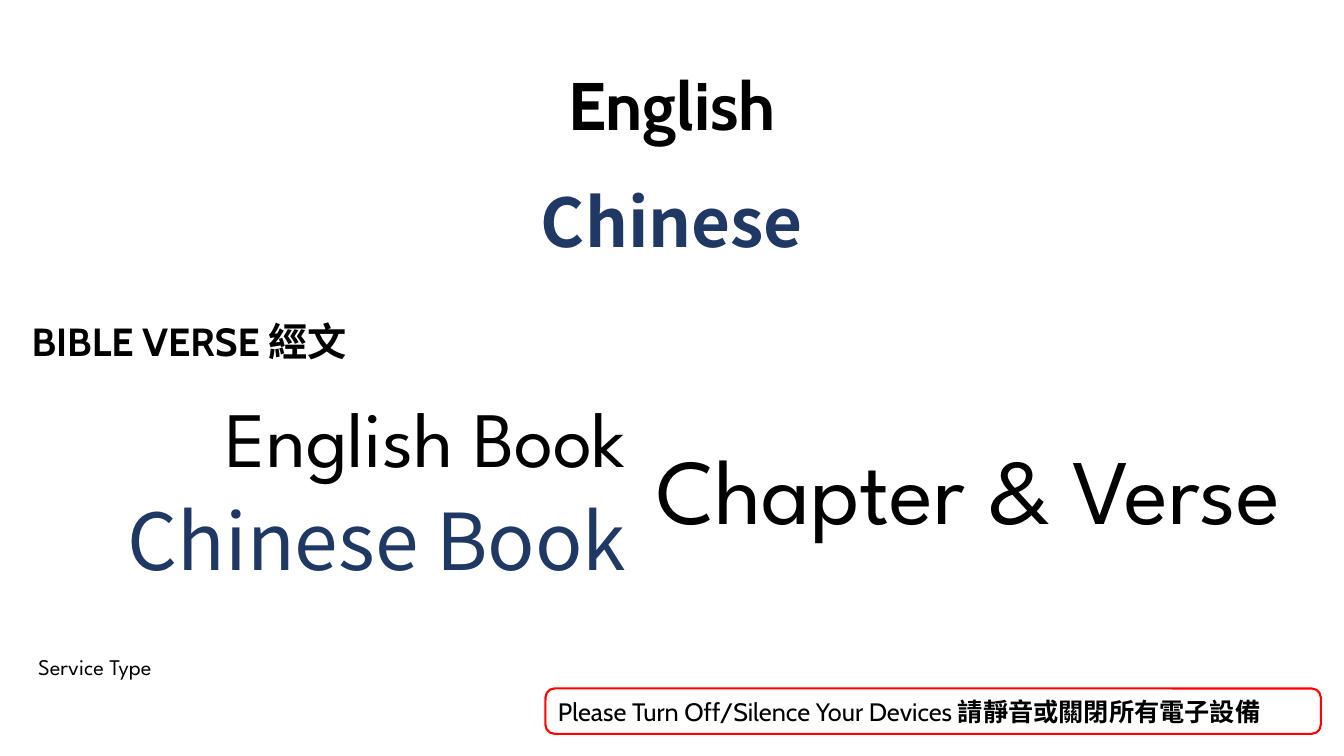
from dataclasses import dataclass
from lxml import etree
from pptx import Presentation
from pptx.dml.color import RGBColor
from pptx.enum import shapes, text
from pptx.oxml.ns import qn
from pptx.util import Inches, Pt


@dataclass(frozen=True)
class Theme:
    black: RGBColor = RGBColor(0, 0, 0)
    navy: RGBColor = RGBColor(0x20, 0x38, 0x64)
    red: RGBColor = RGBColor(0xFF, 0, 0)
    body: str = "Cabin"
    book: str = "League Spartan"
    hans: str = "Noto Sans CJK SC"
    hant: str = "Noto Sans CJK TC"
    title: int = 48
    label: int = 28
    name: int = 56
    verse: int = 66
    small: int = 16
    note: int = 18


THEME = Theme()
ALIGN = text.PP_ALIGN
ANCHOR = text.MSO_ANCHOR


def write(shape, runs, size, align=ALIGN.LEFT, anchor=ANCHOR.TOP, side=0.1):
    """Fill a shape with runs given as (words, font, colour, bold)."""
    frame = shape.text_frame
    frame.word_wrap = True
    frame.auto_size = text.MSO_AUTO_SIZE.NONE
    frame.vertical_anchor = anchor
    frame.margin_left = frame.margin_right = Inches(side)
    frame.margin_top = frame.margin_bottom = Inches(0.05)
    para = frame.paragraphs[0]
    para.alignment = align
    for words, font, color, bold in runs:
        run = para.add_run()
        run.text = words
        run.font.name = font
        run.font.size = Pt(size)
        run.font.bold = bold
        run.font.color.rgb = color
        asian = font if "CJK" in font else THEME.hant
        etree.SubElement(run.font._element, qn("a:ea"), typeface=asian)


def add_text(slide, box, *args, **style):
    write(slide.shapes.add_textbox(*map(Inches, box)), *args, **style)


def add_pill(slide, box, curve, runs, size, line=None):
    pill = slide.shapes.add_shape(
        shapes.MSO_SHAPE.ROUNDED_RECTANGLE, *map(Inches, box))
    pill.adjustments[0] = curve
    pill.shadow.inherit = False
    pill.fill.background()
    if line:
        pill.line.color.rgb = line
        pill.line.width = Pt(1.5)
    else:
        pill.line.fill.background()
    write(pill, runs, size, anchor=ANCHOR.MIDDLE)


def add_titles(slide, left, top, width):
    t, high = THEME, 0.91
    title = slide.shapes.title
    title.left, title.top = Inches(left), Inches(top)
    title.width, title.height = Inches(width), Inches(high)
    write(title, [("English", t.body, t.black, True)], t.title, ALIGN.CENTER)
    add_text(slide, (left, top + 1.16, width, high),
             [("Chinese", t.hans, t.navy, True)], t.title, ALIGN.CENTER)


def add_verse(slide, left, top, width):
    t, split = THEME, 6.31
    add_pill(slide, (left + 0.21, top, 3.95, 0.73), 0.03,
             [("BIBLE VERSE ", t.body, t.black, True),
              ("經文", t.hant, t.black, True)], t.label)
    books = [("English Book", t.book, t.black),
             ("Chinese Book", t.hant, t.navy)]
    for row, (words, font, color) in enumerate(books):
        add_text(slide, (left, top + 0.79 + row * 1.02, split, 1.04),
                 [(words, font, color, False)], t.name, ALIGN.RIGHT)
    start = split + 0.2
    add_text(slide, (left + start, top + 1.22, width - start, 1.11),
             [("Chapter & Verse", t.book, t.black, False)], t.verse, side=0)


def add_footer(slide, left, top):
    t = THEME
    add_text(slide, (left, top, 4.74, 0.37),
             [("Service Type", t.book, t.black, False)], t.small)
    add_pill(slide, (left + 5.13, top + 0.4, 7.69, 0.45), 0.2,
             [("Please Turn Off/Silence Your Devices ", t.body, t.black, False),
              ("請靜音或關閉所有電子設備", t.hant, t.black, True)],
             t.note, t.red)


def main():
    deck = Presentation()
    wide = 13.33
    deck.slide_width, deck.slide_height = Inches(wide), Inches(7.5)
    slide = deck.slides.add_slide(deck.slide_layouts.get_by_name("Title Only"))
    add_titles(slide, 0, 0.58, wide)
    add_verse(slide, 0, 3.02, wide)
    add_footer(slide, 0.28, 6.43)
    deck.save("out.pptx")


if __name__ == "__main__":
    main()
